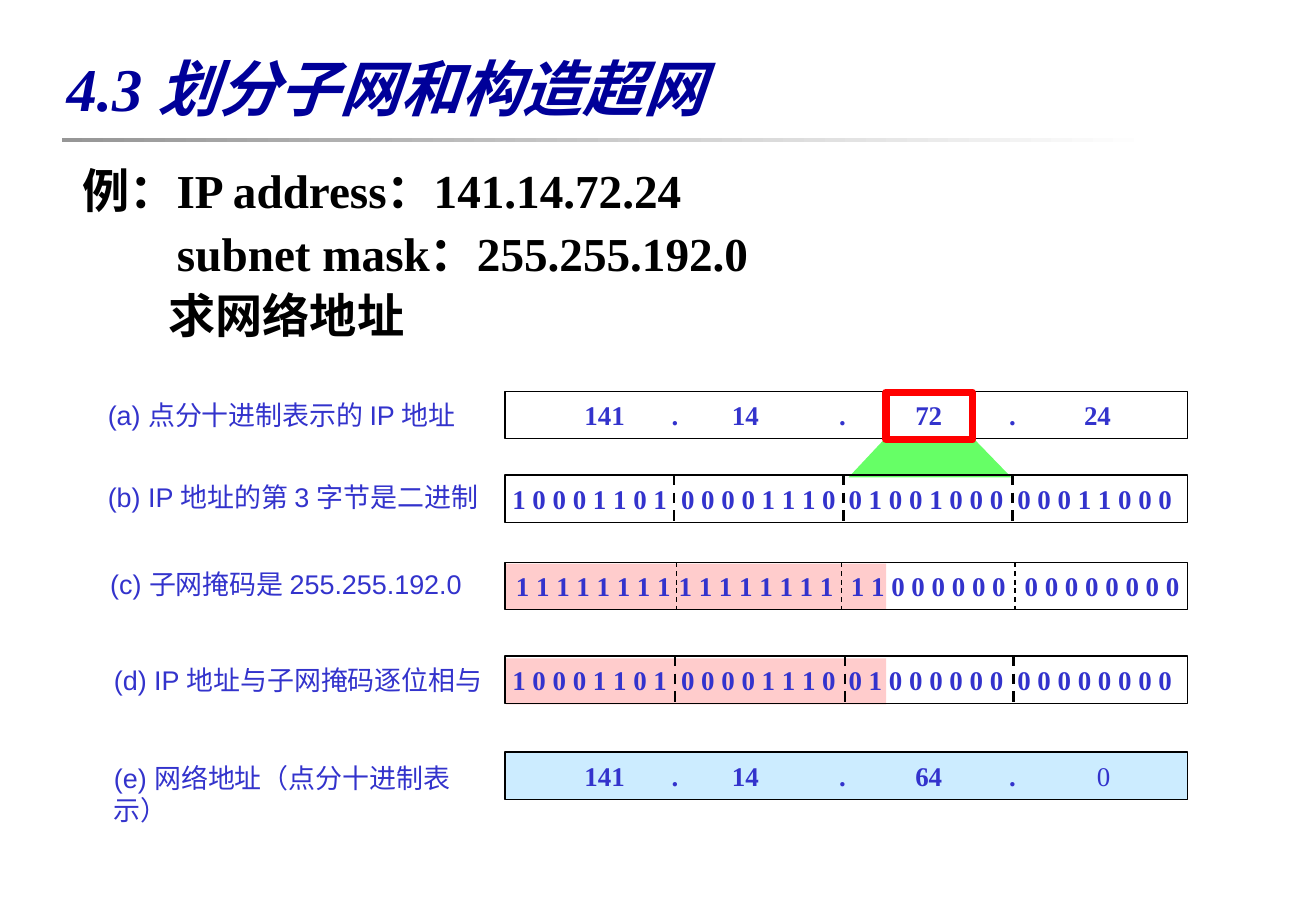
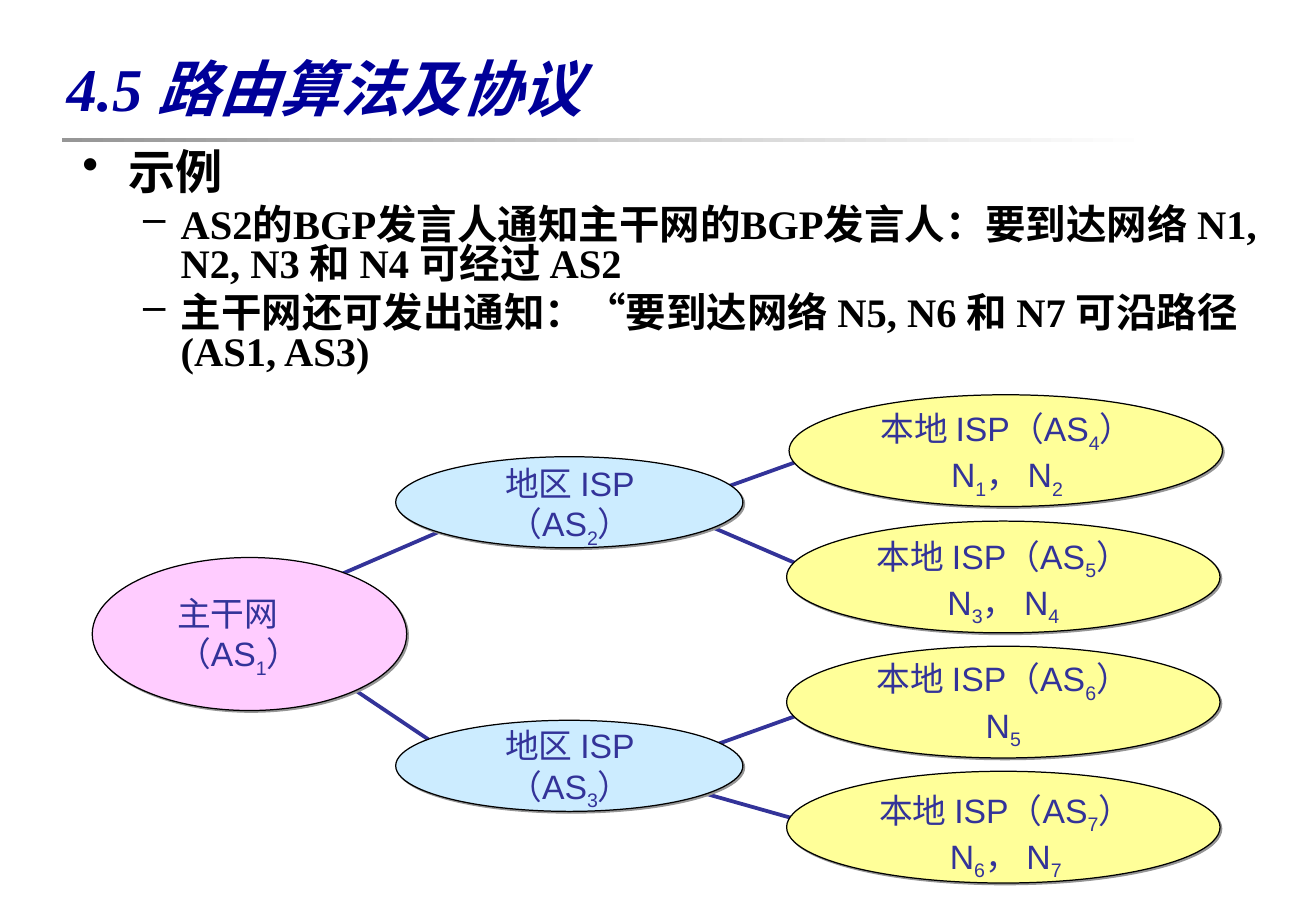
from dataclasses import dataclass

from lxml import etree
from pptx import Presentation
from pptx.dml.color import RGBColor
from pptx.enum.dml import MSO_LINE
from pptx.enum.shapes import MSO_CONNECTOR, MSO_SHAPE
from pptx.enum.text import MSO_ANCHOR, PP_ALIGN
from pptx.oxml.ns import qn
from pptx.util import Pt

EMU_PER_PX = 9144  # 100 px to the inch
RECTANGLE, ELLIPSE = MSO_SHAPE.RECTANGLE, MSO_SHAPE.OVAL
STRAIGHT, DASH = MSO_CONNECTOR.STRAIGHT, MSO_LINE.DASH
LEFT, CENTER = PP_ALIGN.LEFT, PP_ALIGN.CENTER
TOP, MIDDLE = MSO_ANCHOR.TOP, MSO_ANCHOR.MIDDLE

Box = tuple[int, int, int, int]
Point = tuple[int, int]
Tab = tuple[int, str]


@dataclass(frozen=True)
class TextStyle:
    size: int
    font: str
    color: str
    bold: bool = False
    italic: bool = False


@dataclass(frozen=True)
class Theme:
    serif: str = "Times New Roman"
    sans: str = "Arial"
    black: str = "000000"
    gray: str = "969696"
    white: str = "FFFFFF"
    blue: str = "3333CC"
    indigo: str = "333399"
    navy: str = "000099"
    red: str = "FF0000"
    green: str = "66FF66"
    masked: str = "FFCCCC"
    sky: str = "CCECFF"
    pink: str = "FFCCFF"
    yellow: str = "FFFF99"
    thin: float = 0.75
    medium: float = 1.5
    link: float = 2.25
    thick: float = 4.5


THEME = Theme()
TITLE = TextStyle(36, THEME.serif, THEME.navy, bold=True, italic=True)
BODY = TextStyle(28, THEME.serif, THEME.black, bold=True)
SUB_BODY = TextStyle(24, THEME.serif, THEME.black, bold=True)
ROW_LABEL = TextStyle(16, THEME.sans, THEME.blue)
ROW_VALUE = TextStyle(16, THEME.serif, THEME.blue, bold=True)
NODE_LABEL = TextStyle(20, THEME.sans, THEME.indigo)


@dataclass(frozen=True)
class BodyLine:
    text: str
    style: TextStyle
    margin: int
    indent: int = 0
    bullet: str = ""
    before: int = 7


@dataclass(frozen=True)
class AddressRow:
    label: str
    label_at: Point
    top: int
    fields: tuple[str, ...]
    inset: int
    tabs: tuple[Tab, ...]
    plain_tail: str = ""
    fill: str | None = None
    mask: Box | None = None
    dividers: tuple[int, ...] = ()
    divider_width: float = THEME.medium


@dataclass(frozen=True)
class Node:
    box: Box
    fill: str
    label_box: Box
    lines: tuple[str, ...]  # the character after "_" is a subscript
    alignment: int = CENTER


def px(length: int) -> int:
    return length * EMU_PER_PX


# Drawing helpers
def style_paragraph(paragraph, style: TextStyle) -> None:
    font = paragraph.font
    font.size, font.name = Pt(style.size), style.font
    font.bold, font.italic = style.bold, style.italic
    font.color.rgb = RGBColor.from_string(style.color)


def add_tabs(paragraph, tabs: tuple[Tab, ...]) -> None:
    tab_list = etree.SubElement(paragraph._p.get_or_add_pPr(), qn("a:tabLst"))
    for position, alignment in tabs:
        etree.SubElement(tab_list, qn("a:tab"), pos=str(px(position)), algn=alignment)


def add_bullet(paragraph, character: str) -> None:
    properties = paragraph._p.get_or_add_pPr()
    color = etree.SubElement(properties, qn("a:buClr"))
    etree.SubElement(color, qn("a:srgbClr"), val=THEME.black)
    etree.SubElement(properties, qn("a:buChar"), char=character)


def add_subscripted(paragraph, text: str) -> None:
    first, *others = text.split("_")
    paragraph.add_run().text = first
    for part in others:
        subscript = paragraph.add_run()
        subscript.text = part[0]
        subscript._r.get_or_add_rPr().set("baseline", "-25000")
        if part[1:]:
            paragraph.add_run().text = part[1:]


def add_text_frame(slide, box: Box, wrap: bool = True, anchor: int = TOP):
    frame = slide.shapes.add_textbox(*map(px, box)).text_frame
    frame.word_wrap, frame.vertical_anchor = wrap, anchor
    return frame


def next_paragraph(frame, index: int):
    return frame.add_paragraph() if index else frame.paragraphs[0]


def paint(shape, fill: str | None, line: str | None, width: float = THEME.thin) -> None:
    shape.shadow.inherit = False
    if fill:
        shape.fill.solid()
        shape.fill.fore_color.rgb = RGBColor.from_string(fill)
    else:
        shape.fill.background()
    if line:
        shape.line.color.rgb = RGBColor.from_string(line)
        shape.line.width = Pt(width)
    else:
        shape.line.fill.background()


def add_preset(slide, kind: int, box: Box, fill: str | None, line: str | None,
               width: float = THEME.thin):
    shape = slide.shapes.add_shape(kind, *map(px, box))
    paint(shape, fill, line, width)
    return shape


def add_line(slide, start: Point, end: Point, color: str, width: float, dash=None) -> None:
    connector = slide.shapes.add_connector(STRAIGHT, *map(px, start + end))
    connector.line.color.rgb = RGBColor.from_string(color)
    connector.line.width = Pt(width)
    if dash is not None:
        connector.line.dash_style = dash
    etree.SubElement(connector._element.spPr, qn("a:effectLst"))


def add_drop_shadow(shape) -> None:
    effects = shape._element.spPr.find(qn("a:effectLst"))
    shadow = etree.SubElement(effects, qn("a:outerShdw"), dist="17960", dir="2700000")
    etree.SubElement(shadow, qn("a:srgbClr"), val=THEME.gray)


# Parts shared by the slides
def add_titled_slide(presentation, title: str):
    slide = presentation.slides.add_slide(presentation.slide_layouts[6])
    band = add_preset(slide, RECTANGLE, (51, 114, 900, 3), None, None)
    band.fill.gradient()
    band.fill.gradient_angle = 0
    for stop, color in zip(band.fill.gradient_stops, (THEME.gray, THEME.white)):
        stop.color.rgb = RGBColor.from_string(color)
    paragraph = add_text_frame(slide, (45, 28, 984, 87), anchor=MIDDLE).paragraphs[0]
    paragraph.text = title
    style_paragraph(paragraph, TITLE)
    return slide


def add_body(slide, box: Box, lines: tuple[BodyLine, ...], spacing: float) -> None:
    frame = add_text_frame(slide, box)
    for index, line in enumerate(lines):
        paragraph = next_paragraph(frame, index)
        paragraph.text = line.text
        paragraph.line_spacing = spacing
        paragraph.space_before = Pt(line.before if index else 0)
        properties = paragraph._p.get_or_add_pPr()
        properties.set("marL", str(px(line.margin)))
        properties.set("indent", str(px(line.indent)))
        if line.bullet:
            add_bullet(paragraph, line.bullet)
        style_paragraph(paragraph, line.style)


# Subnet slide
ROW_LEFT, ROW_WIDTH, ROW_HEIGHT = 416, 562, 39
DECIMAL_TABS = tuple((x, "ctr") for x in (82, 140, 198, 278, 349, 418, 488))
BINARY_TABS = tuple((x, "l") for x in (139, 277, 416))
MASK_TABS = tuple((x, "l") for x in (134, 276, 419))

QUESTION = (
    BodyLine("例：IP address：141.14.72.24", BODY, 38, -38),
    BodyLine("subnet mask：255.255.192.0", BODY, 78),
    BodyLine("求网络地址", BODY, 71),
)
ROWS = (
    AddressRow("(a) 点分十进制表示的 IP 地址", (79, 323), 322,
               ("", "141", ".", "14", ".", "72", ".", "24"), 0, DECIMAL_TABS),
    AddressRow("(b) IP 地址的第 3 字节是二进制", (79, 391), 391,
               ("1 0 0 0 1 1 0 1", "0 0 0 0 1 1 1 0", "0 1 0 0 1 0 0 0", "0 0 0 1 1 0 0 0"),
               6, BINARY_TABS, dividers=(555, 695, 834)),
    AddressRow("(c) 子网掩码是 255.255.192.0", (81, 462), 463,
               ("1 1 1 1 1 1 1 1", "1 1 1 1 1 1 1 1", "1 1 0 0 0 0 0 0", "0 0 0 0 0 0 0 0"),
               9, MASK_TABS, mask=(416, 464, 314, 38), dividers=(557, 693, 836),
               divider_width=THEME.thin),
    AddressRow("(d) IP 地址与子网掩码逐位相与", (84, 541), 540,
               ("1 0 0 0 1 1 0 1", "0 0 0 0 1 1 1 0", "0 1 0 0 0 0 0 0", "0 0 0 0 0 0 0 0"),
               6, BINARY_TABS, mask=(417, 542, 313, 38), dividers=(556, 696, 835)),
    AddressRow("(e) 网络地址（点分十进制表示）", (84, 622), 619,
               ("", "141", ".", "14", ".", "64", ".", ""), 0,
               DECIMAL_TABS[:-1] + ((493, "ctr"),), plain_tail="0", fill=THEME.sky),
)


def add_address_row(slide, row: AddressRow) -> None:
    if row.mask:
        add_preset(slide, RECTANGLE, row.mask, THEME.masked, None)
    bar = add_preset(slide, RECTANGLE, (ROW_LEFT, row.top, ROW_WIDTH, ROW_HEIGHT),
                     row.fill, THEME.black)
    frame = bar.text_frame
    frame.word_wrap, frame.vertical_anchor = True, MIDDLE
    frame.margin_left = px(row.inset)
    frame.margin_right = frame.margin_top = frame.margin_bottom = 0
    values = frame.paragraphs[0]
    values.alignment = LEFT
    values.add_run().text = "\t".join(row.fields)
    if row.plain_tail:
        tail = values.add_run()
        tail.text, tail.font.bold = row.plain_tail, False
    add_tabs(values, row.tabs)
    style_paragraph(values, ROW_VALUE)

    label = add_text_frame(slide, (*row.label_at, 330, 36), wrap=False).paragraphs[0]
    label.text = row.label
    style_paragraph(label, ROW_LABEL)
    for x in row.dividers:
        add_line(slide, (x, row.top), (x, row.top + ROW_HEIGHT),
                 THEME.black, row.divider_width, DASH)


def build_subnet_slide(presentation) -> None:
    slide = add_titled_slide(presentation, "4.3 划分子网和构造超网")
    add_body(slide, (58, 133, 997, 160), QUESTION, 0.9)
    builder = slide.shapes.build_freeform(730, 360, scale=EMU_PER_PX)
    builder.add_line_segments([(801, 360), (833, 393), (699, 393)], close=True)
    paint(builder.convert_to_shape(), THEME.green, None)
    for row in ROWS:
        add_address_row(slide, row)
    add_preset(slide, RECTANGLE, (730, 323, 71, 39), None, THEME.red, THEME.thick)


# Routing slide
EXAMPLE = (
    BodyLine("示例", BODY, 38, -38, "•"),
    BodyLine("AS2的BGP发言人通知主干网的BGP发言人：要到达网络 N1, N2, N3 和 N4 可经过 AS2",
             SUB_BODY, 81, -31, "–", 6),
    BodyLine("主干网还可发出通知：“要到达网络 N5, N6 和 N7 可沿路径(AS1, AS3)",
             SUB_BODY, 81, -31, "–", 6),
)
LINKS = (
    ((255, 484), (389, 426)), ((255, 543), (380, 627)),
    ((576, 409), (693, 367)), ((568, 426), (684, 476)),
    ((576, 618), (693, 576)), ((576, 652), (693, 685)),
)


def regional(top: int, label_top: int, number: int) -> Node:
    return Node((326, top, 286, 75), THEME.sky, (402, label_top, 135, 82),
                ("地区 ISP", f"（AS_{number}）"))


def local(left: int, top: int, label_at: Point, number: int, networks: str) -> Node:
    return Node((left, top, 357, 92), THEME.yellow, (*label_at, 255, 86),
                (f"本地 ISP（AS_{number}）", networks))


NODES = (
    regional(376, 376, 2),
    regional(593, 592, 3),
    Node((76, 459, 259, 126), THEME.pink, (136, 483, 135, 82), ("主干网", "（AS_1）"), LEFT),
    local(650, 325, (702, 331), 4, "N_1， N_2"),
    local(648, 429, (699, 436), 5, "N_3， N_4"),
    local(648, 532, (699, 537), 6, "N_5"),
    local(648, 635, (701, 645), 7, "N_6， N_7"),
)


def add_node(slide, node: Node) -> None:
    add_drop_shadow(add_preset(slide, ELLIPSE, node.box, node.fill, THEME.black))
    frame = add_text_frame(slide, node.label_box, wrap=False)
    for index, line in enumerate(node.lines):
        paragraph = next_paragraph(frame, index)
        paragraph.alignment = node.alignment
        add_subscripted(paragraph, line)
        style_paragraph(paragraph, NODE_LABEL)


def build_routing_slide(presentation) -> None:
    slide = add_titled_slide(presentation, "4.5 路由算法及协议")
    add_body(slide, (58, 121, 995, 212), EXAMPLE, 0.8)
    for start, end in LINKS:
        add_line(slide, start, end, THEME.indigo, THEME.link)
    for node in NODES:
        add_node(slide, node)


def main() -> None:
    presentation = Presentation()
    presentation.slide_width, presentation.slide_height = px(1084), px(750)
    build_subnet_slide(presentation)
    build_routing_slide(presentation)
    presentation.save("out.pptx")


if __name__ == "__main__":
    main()
